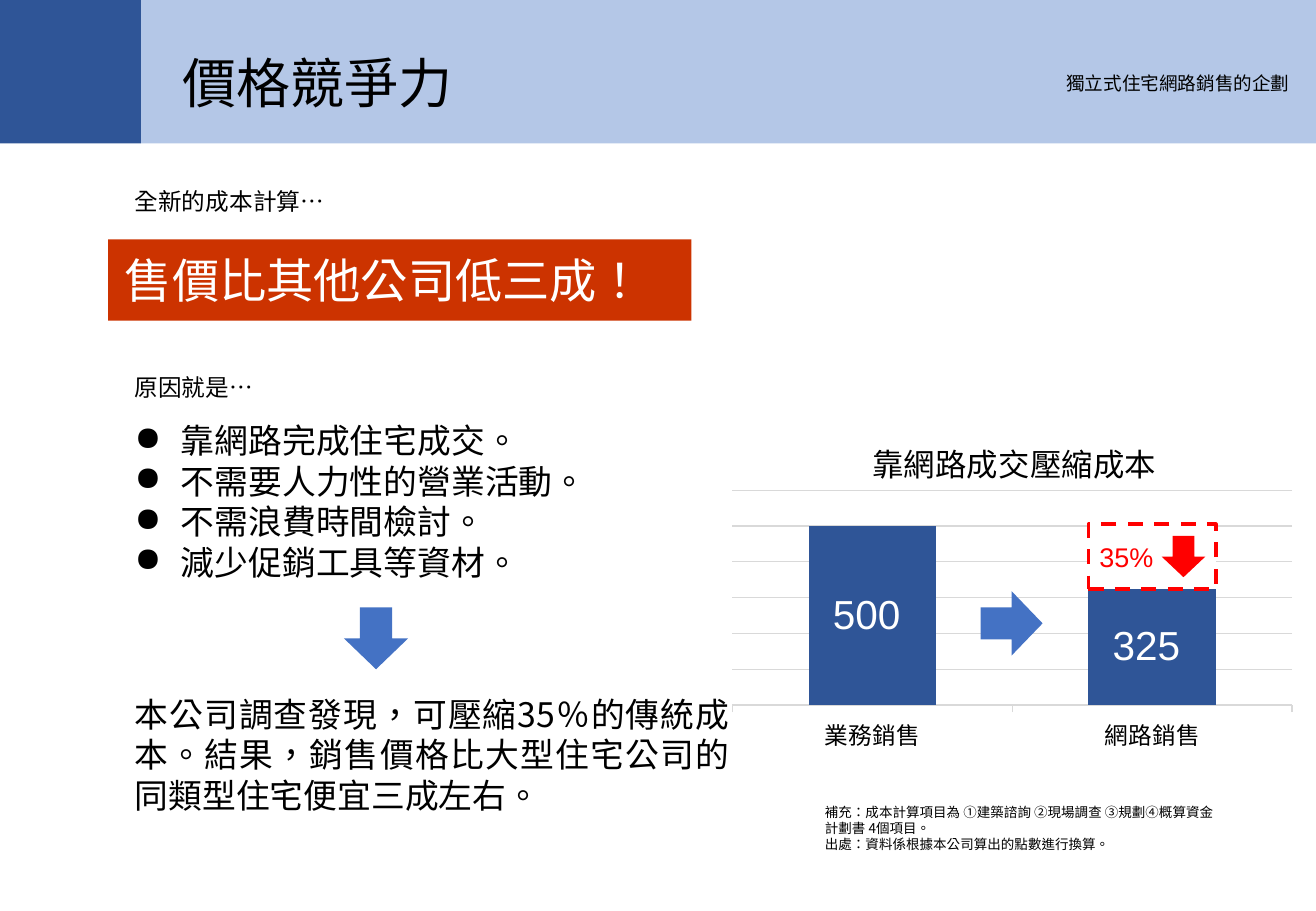
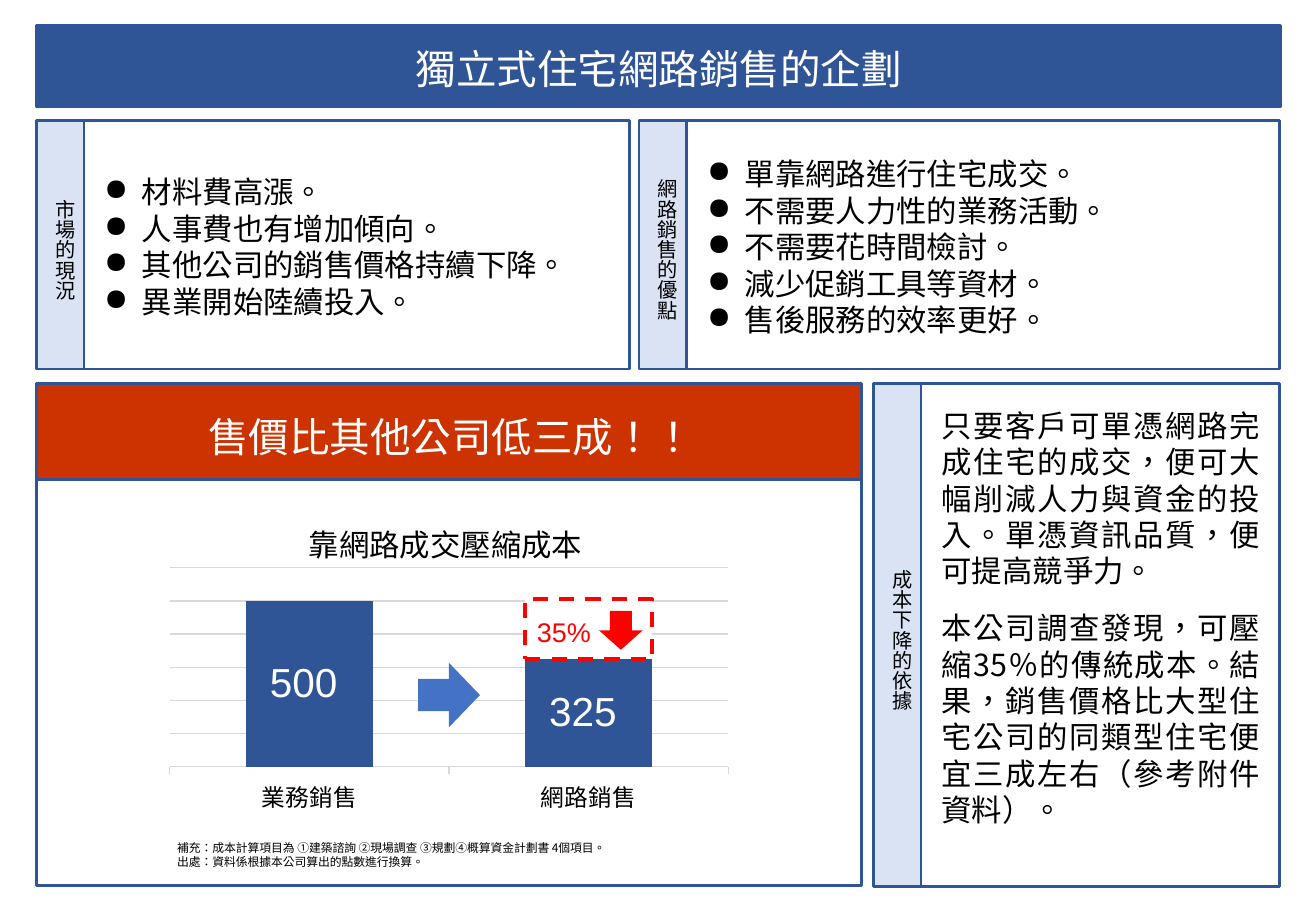
from lxml import etree
from pptx import Presentation
from pptx.chart.data import CategoryChartData
from pptx.dml.color import RGBColor
from pptx.enum import chart as chart_enum, dml, shapes, text
from pptx.oxml.ns import qn
from pptx.util import Inches, Pt

COLOURS = {
    "navy": "2F5597",
    "blue": "4472C4",
    "sky": "B4C7E7",
    "pale": "DAE3F3",
    "orange": "CC3300",
    "red": "FF0000",
    "grey": "D9D9D9",
    "black": "000000",
    "white": "FFFFFF",
}
CJK = "Noto Sans CJK SC"
LATIN = "Arial"
LINE_HEIGHT = 1.2
TAB_WIDTH = 0.39
ALIGN = text.PP_ALIGN
RECT = shapes.MSO_SHAPE.RECTANGLE
DOWN_ARROW = shapes.MSO_SHAPE.DOWN_ARROW

PROJECT = "獨立式住宅網路銷售的企劃"
NOTES = [
    "補充：成本計算項目為 ①建築諮詢 ②現場調查 ③規劃④概算資金計劃書 4個項目。",
    "出處：資料係根據本公司算出的點數進行換算。",
]
FINDING = "本公司調查發現，可壓縮35％的傳統成本。結果，銷售價格比大型住宅公司的同類型住宅便宜三成左右"


def colour(name):
    return RGBColor.from_string(COLOURS[name])


def style_font(font, size, ink="black", face=CJK):
    font.size = Pt(size)
    font.name = face
    font.bold = False
    font.color.rgb = colour(ink)


def style_para(para, size, ink="black", face=CJK):
    style_font(para.font, size, ink, face)
    if face == CJK:
        defaults = para._p.get_or_add_pPr().find(qn("a:defRPr"))
        defaults.set("lang", "zh-TW")
        etree.SubElement(defaults, qn("a:ea")).set("typeface", face)


def add_bullet(para, indent):
    props = para._p.get_or_add_pPr()
    props.set("marL", str(Inches(indent)))
    props.set("indent", str(-Inches(indent)))
    etree.SubElement(props, qn("a:buChar")).set("char", "●")


def fill_text(shape, lines, size, ink="black", face=CJK, align=ALIGN.LEFT,
              indent=0, after=0, wrap=True):
    frame = shape.text_frame
    frame.word_wrap = wrap
    frame.auto_size = text.MSO_AUTO_SIZE.NONE
    frame.vertical_anchor = text.MSO_ANCHOR.TOP
    for index, line in enumerate(lines):
        para = frame.add_paragraph() if index else frame.paragraphs[0]
        para.text = line
        para.alignment = align
        para.line_spacing = Pt(size * LINE_HEIGHT)
        para.space_before = Pt(0)
        para.space_after = Pt(after)
        if indent:
            add_bullet(para, indent)
        style_para(para, size, ink, face)


def add_text(page, box, lines, size, **options):
    shape = page.shapes.add_textbox(*map(Inches, box))
    fill_text(shape, lines, size, **options)
    return shape


def add_block(page, box, fill, line=None, kind=RECT, rotation=0):
    shape = page.shapes.add_shape(kind, *map(Inches, box))
    shape.shadow.inherit = False
    shape.rotation = rotation
    shape.fill.solid()
    shape.fill.fore_color.rgb = colour(fill)
    if line:
        shape.line.color.rgb = colour(line)
        shape.line.width = Pt(1.5)
    else:
        shape.line.fill.background()


def place_title(page, box, line, size, **options):
    title = page.shapes.title
    title.left, title.top, title.width, title.height = map(Inches, box)
    fill_text(title, [line], size, **options)
    title.element.getparent().append(title.element)


def set_layout(parent, position, **values):
    old = parent.find(qn("c:layout"))
    if old is not None:
        parent.remove(old)
    layout = etree.Element(qn("c:layout"))
    parent.insert(position, layout)
    manual = etree.SubElement(layout, qn("c:manualLayout"))
    for name, value in values.items():
        etree.SubElement(manual, qn("c:" + name)).set("val", str(value))


def add_cost_chart(page, box, title_size, plot_height):
    left, top, width, height = box
    data = CategoryChartData(number_format="#,##0_ ")
    data.categories = ["業務銷售", "網路銷售"]
    data.add_series("Series 1", [500, 325])
    data.add_series("Series 2", [0, 180])
    chart = page.shapes.add_chart(
        chart_enum.XL_CHART_TYPE.COLUMN_STACKED, *map(Inches, box), data).chart
    style_font(chart.font, 10, face=LATIN)
    chart.has_legend = False

    chart.has_title = True
    heading = chart.chart_title
    heading.include_in_layout = False
    para = heading.text_frame.paragraphs[0]
    para.text = "靠網路成交壓縮成本"
    style_para(para, title_size)
    set_layout(heading._element, 1, xMode="edge", yMode="edge", x=0.25, y=0.07)
    set_layout(chart._chartSpace.chart.plotArea, 0, layoutTarget="inner",
               xMode="edge", yMode="edge", x=0.02, y=0.24, w=0.96, h=plot_height)

    values = chart.value_axis
    values.minimum_scale, values.maximum_scale, values.major_unit = 0, 600, 100
    values.visible = False
    values.has_major_gridlines = True
    categories = chart.category_axis
    categories.major_tick_mark = chart_enum.XL_TICK_MARK.OUTSIDE
    style_font(categories.tick_labels.font, 14)
    for line in (values.major_gridlines.format.line, categories.format.line):
        line.color.rgb = colour("grey")
        line.width = Pt(0.75)

    plot = chart.plots[0]
    plot.gap_width, plot.overlap = 120, 100
    plot.vary_by_categories = False
    cost, saving = plot.series
    saved_point = saving.points[1].format
    for part, fill in ((cost.format, "navy"), (saving.format, "white"),
                       (saved_point, "white")):
        part.fill.solid()
        part.fill.fore_color.rgb = colour(fill)
    saved_point.line.color.rgb = colour("red")
    saved_point.line.width = Pt(2.25)
    saved_point.line.dash_style = dml.MSO_LINE.DASH

    labels = cost.data_labels
    labels.show_value = True
    labels.position = chart_enum.XL_LABEL_POSITION.CENTER
    labels.number_format = "#,##0_ "
    labels.number_format_is_linked = False
    style_font(labels.font, 24, "white", LATIN)

    add_text(page, (left + 3.01, top + 0.366 * height, 0.65, 0.37), ["35%"], 16,
             ink="red", face=LATIN, align=ALIGN.RIGHT, wrap=False)
    add_block(page, (left + 3.63, top + 0.37 * height, 0.36, 0.117 * height),
              "red", kind=DOWN_ARROW)
    add_block(page, (left + 2.13, top + 0.53 * height, 0.53, 0.51),
              "blue", kind=DOWN_ARROW, rotation=270)


def add_header(page, box):
    left, top, width, height = box
    square = 1.16
    add_block(page, (left + square, top, width - square, height), "sky")
    add_block(page, (left, top, square, height), "navy")
    place_title(page, (left + 1.4, top + 0.36, 3.34, 0.64), "價格競爭力", 32)
    add_text(page, (left + width - 2.17, top + 0.54, 2.07, 0.29), [PROJECT], 11,
             align=ALIGN.CENTER)


def add_reasons(page, box):
    left, top, width, height = box
    add_text(page, (left, top, width, 0.34), ["全新的成本計算…"], 14, align=ALIGN.JUSTIFY)
    add_block(page, (left - 0.12, top + 0.48, 4.8, 0.67), "orange")
    add_text(page, (left - 0.08, top + 0.53, 4.71, 0.57), ["售價比其他公司低三成！"],
             28, ink="white")
    add_text(page, (left, top + 1.53, width, 0.34), ["原因就是…"], 14, align=ALIGN.JUSTIFY)
    add_text(page, (left, top + 1.92, width, 1.45),
             ["靠網路完成住宅成交。", "不需要人力性的營業活動。",
              "不需浪費時間檢討。", "減少促銷工具等資材。"],
             20, align=ALIGN.JUSTIFY, indent=0.38)
    add_block(page, (left + 1.82, top + 3.51, 0.53, 0.51), "blue", kind=DOWN_ARROW)
    add_text(page, (left, top + height - 1.11, width, 1.11), [FINDING + "。"], 20,
             align=ALIGN.JUSTIFY)


def add_panel(page, box, label, lines, body_top, body_height, **options):
    left, top, width, height = box
    add_block(page, (left, top, TAB_WIDTH, height), "pale", "navy")
    add_block(page, (left + TAB_WIDTH, top, width - TAB_WIDTH, height), "white", "navy")
    label_height = 0.17 * len(label) + 0.09
    tab = add_text(page, (left - 0.02, top + (height - label_height) / 2, 0.4, label_height),
                   [label], 12, align=ALIGN.CENTER, wrap=False)
    tab.text_frame._txBody.bodyPr.set("vert", "eaVert")
    add_text(page, (left + TAB_WIDTH + 0.07, top + body_top,
                    width - TAB_WIDTH - 0.13, body_height),
             lines, 18, align=ALIGN.JUSTIFY, **options)


def add_price_panel(page, box):
    left, top, width, height = box
    add_block(page, box, "white", "navy")
    add_block(page, (left, top, width, 0.79), "orange", "navy")
    add_text(page, (left + 0.85, top + 0.18, width - 1.66, 0.5),
             ["售價比其他公司低三成！！"], 24, ink="white", align=ALIGN.CENTER)
    add_cost_chart(page, (left + 1, top + 0.86, 4.79, 2.73), 18, 0.6)
    add_text(page, (left + 1.06, top + 3.71, 4.79, 0.34), NOTES, 7)


def build_price_page(page):
    add_header(page, (0, 0, 10.83, 1.18))
    add_reasons(page, (1.01, 1.49, 5.09, 5.28))
    add_cost_chart(page, (5.93, 3.34, 4.8, 2.9), 18.6, 0.61)
    add_text(page, (6.69, 6.57, 3.43, 0.5), NOTES, 8)


def build_summary_page(page):
    add_block(page, (0.3, 0.21, 10.24, 0.67), "navy", "navy")
    place_title(page, (2.53, 0.31, 5.78, 0.5), PROJECT, 24, ink="white",
                align=ALIGN.CENTER)
    add_panel(page, (0.3, 0.99, 4.88, 2.05), "市場的現況",
              ["材料費高漲。", "人事費也有增加傾向。",
               "其他公司的銷售價格持續下降。", "異業開始陸續投入。"],
              0.39, 1.31, indent=0.31)
    add_panel(page, (5.26, 0.99, 5.27, 2.05), "網路銷售的優點",
              ["單靠網路進行住宅成交。", "不需要人力性的業務活動。",
               "不需要花時間檢討。", "減少促銷工具等資材。", "售後服務的效率更好。"],
              0.24, 1.62, indent=0.31)
    add_price_panel(page, (0.3, 3.16, 6.79, 4.13))
    add_panel(page, (7.19, 3.16, 3.34, 4.14), "成本下降的依據",
              ["只要客戶可單憑網路完成住宅的成交，便可大幅削減人力與資金的投入。"
               "單憑資訊品質，便可提高競爭力。",
               FINDING + "（參考附件資料）。"],
              0.14, 3.6, after=12)


def main():
    deck = Presentation()
    deck.slide_width, deck.slide_height = Inches(10.83), Inches(7.5)
    for build in (build_price_page, build_summary_page):
        build(deck.slides.add_slide(deck.slide_layouts[5]))
    deck.save("out.pptx")


if __name__ == "__main__":
    main()
